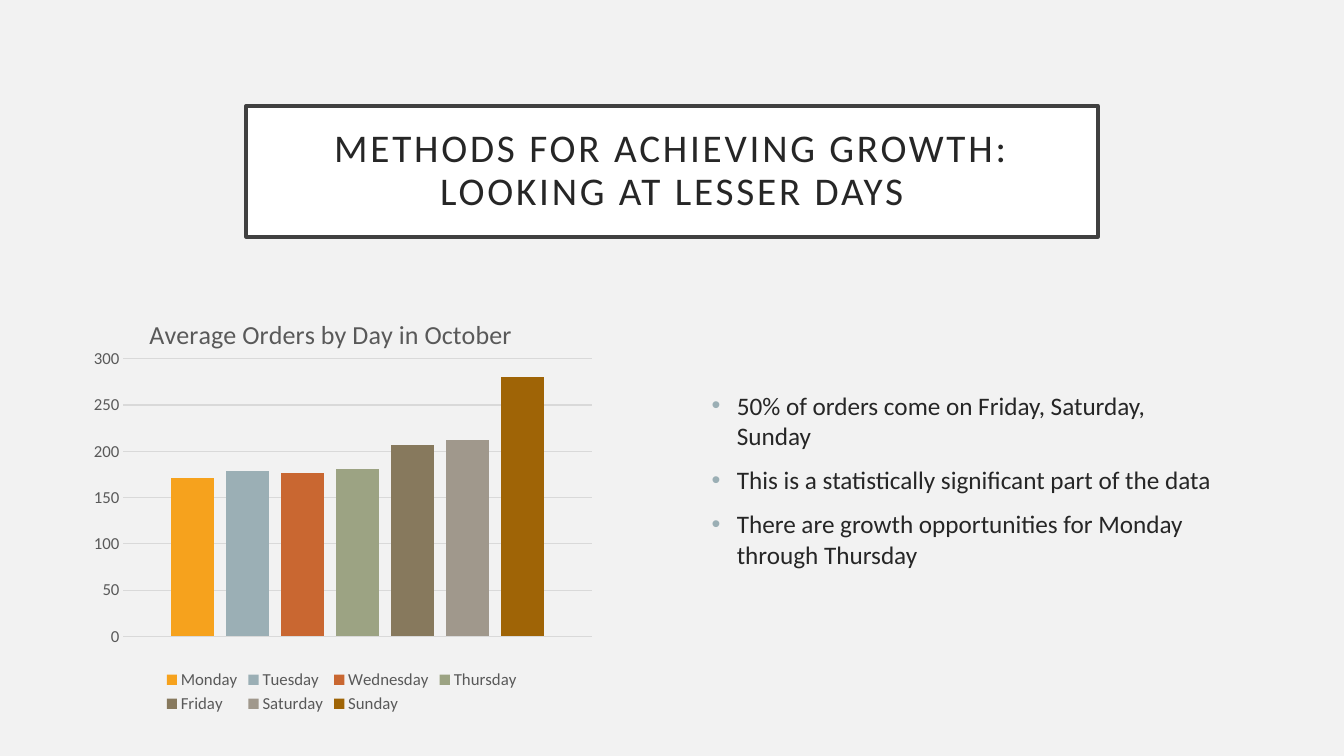
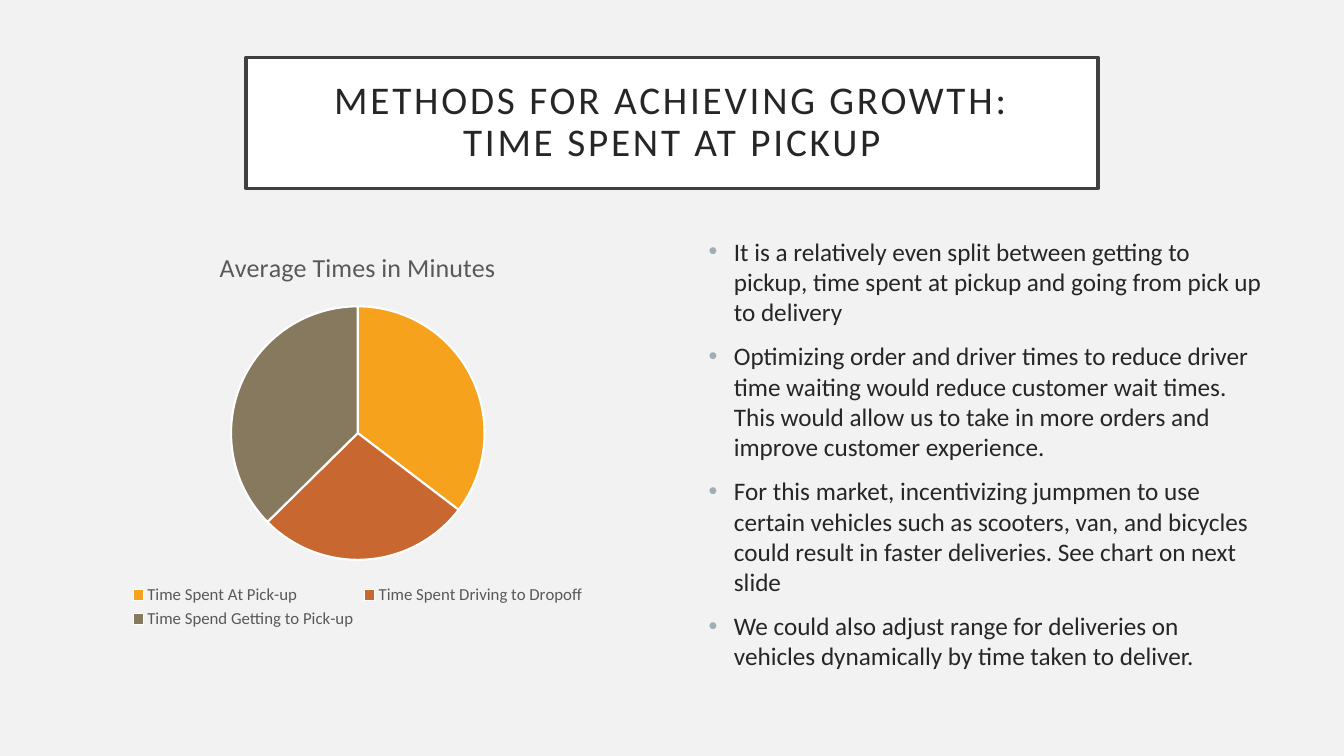
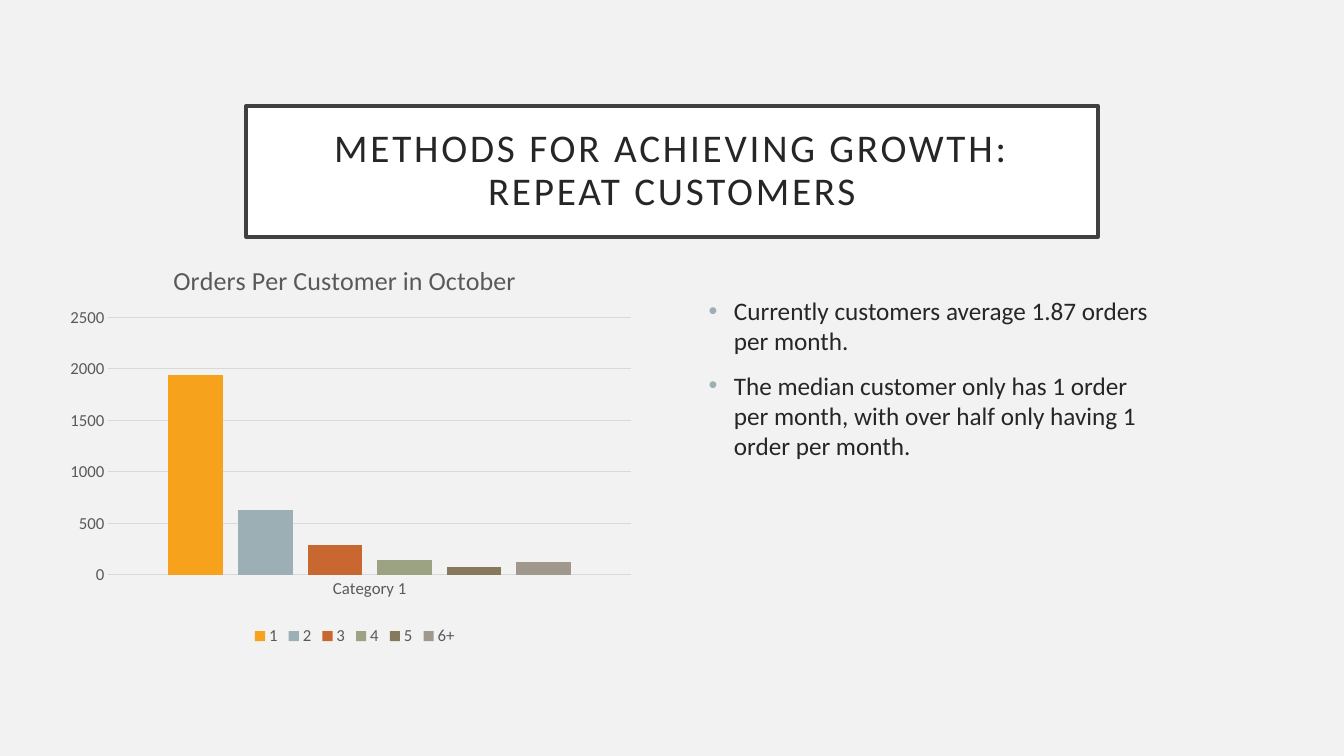
from lxml import etree
from pptx import Presentation
from pptx.chart import data
from pptx.dml.color import RGBColor
from pptx.enum import chart as kinds, text
from pptx.oxml import ns
from pptx.util import Pt

FONT = "Calibri"
COLORS = {
    "back": "F2F2F2", "panel": "FFFFFF", "frame": "404040", "ink": "262626",
    "label": "595959", "grid": "D9D9D9", "black": "000000",
    "gold": "F6A21D", "blue": "9BAFB5", "rust": "C96731", "sage": "9CA383",
    "brown": "87795D", "taupe": "A0988C", "bronze": "9F6406",
}
BARS = ["gold", "blue", "rust", "sage", "brown", "taupe", "bronze"]
SLICES = ["gold", "rust", "brown"]
HEADING = "METHODS FOR ACHIEVING GROWTH:"


def color(name):
    return RGBColor.from_string(COLORS[name])


def paint(fill, name):
    fill.solid()
    fill.fore_color.rgb = color(name)


def style(font, size, name):
    font.name = FONT
    font.size = Pt(size)
    font.bold = False
    font.color.rgb = color(name)


def move(shape, box):
    shape.left, shape.top, shape.width, shape.height = map(Pt, box)


def add_node(parent, tag, **attrs):
    node = etree.SubElement(parent, ns.qn(tag))
    for key, value in attrs.items():
        node.set(key, str(value))
    return node


def add_title(slide, line, top):
    title = slide.shapes.title
    move(title, (175.8, top, 608.4, 93.6))
    paint(title.fill, "panel")
    title.line.color.rgb = color("frame")
    title.line.width = Pt(2.5)
    frame = title.text_frame
    frame.word_wrap = True
    frame.auto_size = text.MSO_AUTO_SIZE.NONE
    frame.vertical_anchor = text.MSO_ANCHOR.MIDDLE
    frame.margin_left = frame.margin_right = Pt(14.4)
    frame.margin_top = frame.margin_bottom = Pt(14.4)
    para = frame.paragraphs[0]
    para.alignment = text.PP_ALIGN.CENTER
    para.line_spacing = 0.9
    for part in (HEADING, line):
        if para.runs:
            para.add_line_break()
        run = para.add_run()
        run.text = part
        style(run.font, 28, "ink")
        run.font._element.set("spc", "200")


def add_list(slide, items, box):
    body = slide.placeholders[1]
    move(body, box)
    frame = body.text_frame
    frame.word_wrap = True
    frame.auto_size = text.MSO_AUTO_SIZE.NONE
    frame.vertical_anchor = text.MSO_ANCHOR.TOP
    for i, item in enumerate(items):
        para = frame.add_paragraph() if i else frame.paragraphs[0]
        para.space_before = Pt(10 if i else 0)
        props = para._p.get_or_add_pPr()
        props.set("marL", str(Pt(18)))
        props.set("indent", str(-Pt(18)))
        tint = add_node(props, "a:buClr")
        add_node(tint, "a:srgbClr", val=COLORS["blue"])
        add_node(props, "a:buFont", typeface="Arial")
        add_node(props, "a:buChar", char="•")
        run = para.add_run()
        run.text = item
        style(run.font, 18, "ink")


def set_layout(parent, index, target, **spots):
    for old in parent.findall(ns.qn("c:layout")):
        parent.remove(old)
    layout = etree.Element(ns.qn("c:layout"))
    manual = add_node(layout, "c:manualLayout")
    if target:
        add_node(manual, "c:layoutTarget", val=target)
    for side in ("x", "y"):
        add_node(manual, f"c:{side}Mode", val="edge")
    for key, value in spots.items():
        add_node(manual, f"c:{key}", val=value)
    parent.insert(index, layout)


def add_chart(slide, kind, title, cats, series, box):
    source = data.CategoryChartData()
    source.categories = cats
    for name, values in series:
        source.add_series(name, values)
    chart = slide.shapes.add_chart(kind, *map(Pt, box), source).chart
    style(chart.font, 10, "black")
    chart.has_title = True
    run = chart.chart_title.text_frame.paragraphs[0].add_run()
    run.text = title
    style(run.font, 18.6, "label")
    chart.has_legend = True
    chart.legend.position = kinds.XL_LEGEND_POSITION.BOTTOM
    chart.legend.include_in_layout = False
    style(chart.legend.font, 12, "label")
    return chart


def format_axis(axis):
    axis.major_tick_mark = axis.minor_tick_mark = kinds.XL_TICK_MARK.NONE
    style(axis.tick_labels.font, 12, "label")


def add_bars(slide, title, cat, series, box, spot, area, named=True):
    chart = add_chart(slide, kinds.XL_CHART_TYPE.COLUMN_CLUSTERED, title, [cat],
                      [(name, [value]) for name, value in series], box)
    plot = chart.plots[0]
    plot.gap_width = 219
    plot.overlap = -27
    plot.vary_by_categories = False
    for bar, name in zip(plot.series, BARS):
        paint(bar.format.fill, name)
    scale = chart.value_axis
    format_axis(scale)
    scale.format.line.fill.background()
    grid = scale.major_gridlines.format.line
    grid.color.rgb = color("grid")
    grid.width = Pt(0.75)
    base = chart.category_axis
    base.visible = named
    if named:
        format_axis(base)
        base.format.line.color.rgb = color("grid")
        base.format.line.width = Pt(0.75)
    set_layout(chart.chart_title._element, 1, None, **dict(zip("xy", spot)))
    set_layout(chart._chartSpace.chart.plotArea, 0, "inner",
               **dict(zip("xywh", area)))


def add_pie(slide, title, parts, box):
    cats, values = zip(*parts)
    chart = add_chart(slide, kinds.XL_CHART_TYPE.PIE, title, cats,
                      [(title, values)], box)
    plot = chart.plots[0]
    plot.vary_by_categories = True
    for i, name in enumerate(SLICES):
        form = plot.series[0].points[i].format
        paint(form.fill, name)
        form.line.color.rgb = color("panel")
        form.line.width = Pt(1.5)


def main():
    deck = Presentation()
    deck.slide_width, deck.slide_height = Pt(960), Pt(540)
    paint(deck.slide_master.background.fill, "back")
    days, times, repeats = (
        deck.slides.add_slide(deck.slide_layouts[1]) for _ in range(3))

    add_title(days, "LOOKING AT LESSER DAYS", 75.6)
    add_bars(days, "Average Orders by Day in October", "1", [
        ("Monday", 171), ("Tuesday", 179), ("Wednesday", 177),
        ("Thursday", 181), ("Friday", 207), ("Saturday", 212),
        ("Sunday", 280),
    ], (54, 207.4, 380.2, 305.3), (0.13, 0.05), (0.09, 0.16, 0.88, 0.65), False)
    add_list(days, [
        "50% of orders come on Friday, Saturday, Sunday",
        "This is a statistically significant part of the data",
        "There are growth opportunities for Monday through Thursday",
    ], (501.1, 275, 380.2, 189.4))

    add_title(times, "TIME SPENT AT PICKUP", 41)
    add_pie(times, "Average Times in Minutes", [
        ("Time Spent At Pick-up", 35), ("Time Spent Driving to Dropoff", 27),
        ("Time Spend Getting to Pick-up", 37),
    ], (50.4, 164.9, 410.4, 287.3))
    add_list(times, [
        "It is a relatively even split between getting to pickup, time spent "
        "at pickup and going from pick up to delivery",
        "Optimizing order and driver times to reduce driver time waiting would "
        "reduce customer wait times. This would allow us to take in more "
        "orders and improve customer experience.",
        "For this market, incentivizing jumpmen to use certain vehicles such "
        "as scooters, van, and bicycles could result in faster deliveries. "
        "See chart on next slide",
        "We could also adjust range for deliveries on vehicles dynamically by "
        "time taken to deliver.",
    ], (499, 164.9, 410.4, 319.7))

    add_title(repeats, "REPEAT CUSTOMERS", 75.6)
    add_bars(repeats, "Orders Per Customer in October", "Category 1", [
        ("1", 1940), ("2", 630), ("3", 290), ("4", 140), ("5", 80), ("6+", 120),
    ], (38.9, 181.4, 429.1, 283), (0.19, 0.01), (0.09, 0.16, 0.87, 0.65))
    add_list(repeats, [
        "Currently customers average 1.87 orders per month.",
        "The median customer only has 1 order per month, with over half only "
        "having 1 order per month.",
    ], (499, 207.4, 336.2, 244.1))
    deck.save("out.pptx")


if __name__ == "__main__":
    main()
